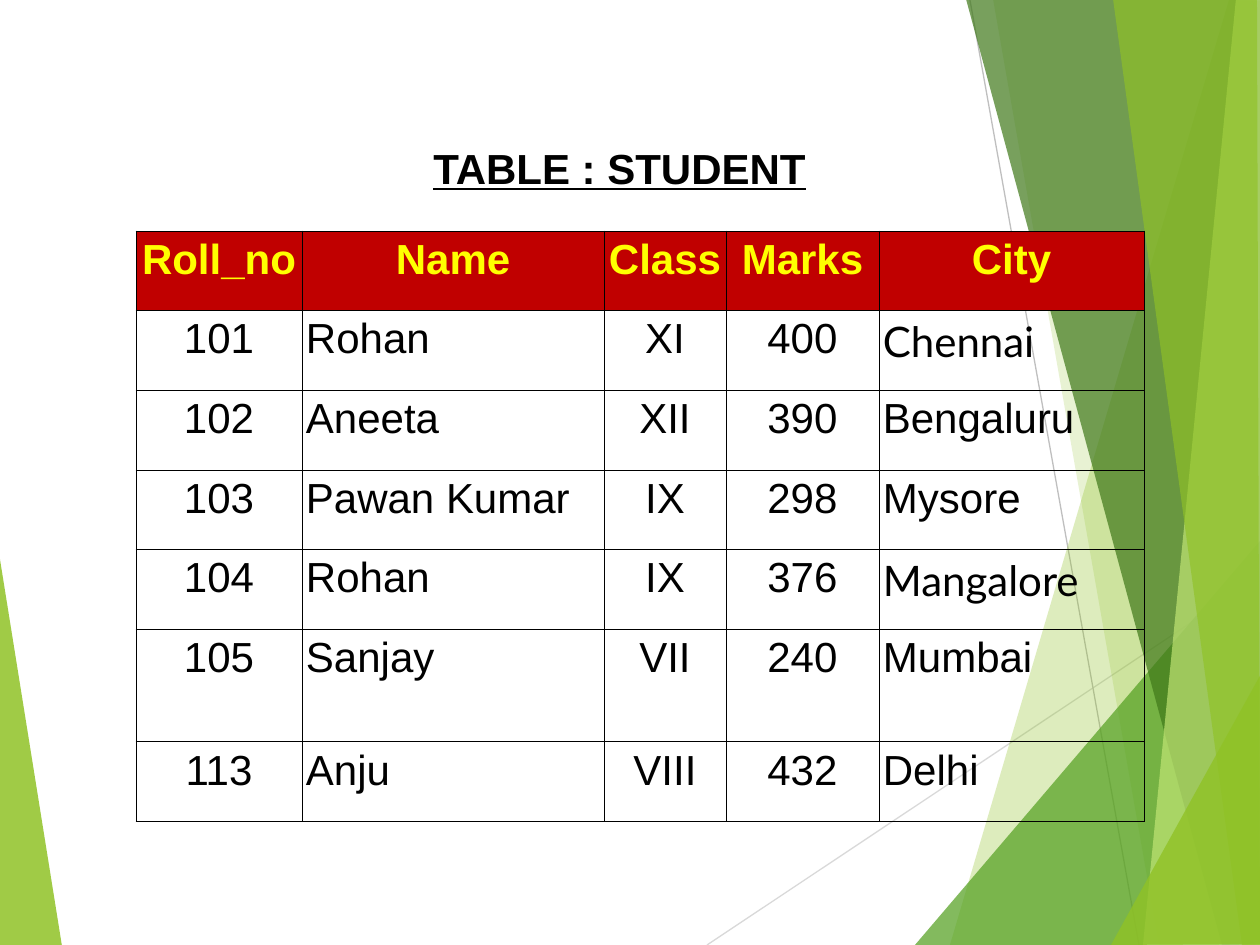
"""Build a slide with a student table over a backdrop of green facets."""
from lxml import etree
from pptx import Presentation
from pptx.dml.color import RGBColor
from pptx.enum.shapes import MSO_CONNECTOR
from pptx.enum.text import MSO_ANCHOR, PP_ALIGN
from pptx.oxml.ns import qn
from pptx.util import Emu, Pt

CENTER, LEFT = PP_ALIGN.CENTER, PP_ALIGN.LEFT
MIDDLE = MSO_ANCHOR.MIDDLE
STRAIGHT = MSO_CONNECTOR.STRAIGHT
EMU_PER_PX = 914400 / 126

THEME = {
    "lime": "90C226", "green": "54A021", "forest": "3F7819", "pale": "C0E474",
    "light_line": "D9D9D9", "gray_line": "BFBFBF",
    "header_fill": "C00000", "header_text": "FFFF00", "ink": "000000",
    "font": "Arial", "city_font": "Lato",
    "text_size": 24, "line_width": 0.75, "border_width": 0.45,
}

TITLE = "TABLE : STUDENT"
TITLE_BOX = (42, 136, 1155, 63)
HEADERS = ["Roll_no", "Name", "Class", "Marks", "City"]
STUDENTS = [
    ("101", "Rohan", "XI", "400", "Chennai"),
    ("102", "Aneeta", "XII", "390", "Bengaluru"),
    ("103", "Pawan Kumar", "IX", "298", "Mysore"),
    ("104", "Rohan", "IX", "376", "Mangalore"),
    ("105", "Sanjay", "VII", "240", "Mumbai"),
    ("113", "Anju", "VIII", "432", "Delhi"),
]
LATO_CITIES = {"Chennai", "Mangalore"}
COLUMN_ALIGNMENTS = [CENTER, LEFT, CENTER, CENTER, LEFT]
TABLE_ORIGIN = (136, 231)
COLUMN_WIDTHS = [166, 302, 122, 153, 265]
ROW_HEIGHTS = [79, 80, 80, 79, 80, 113, 80]
CELL_MARGINS = {"margin_left": 4, "margin_right": 4, "margin_top": 6, "margin_bottom": 6}

LEFT_FACET = ("lime", 85, [(-1, 553), (62, 946), (-1, 945)])
BACKDROP_LINES = [
    ("light_line", (707, 945), (1261, 576)),
    ("gray_line", (970, 0), (1139, 945)),
]
RIGHT_FACETS = [
    ("lime", 30, [(1229, 0), (950, 945), (1262, 946), (1261, 1)]),
    ("lime", 20, [(993, -1), (1159, 945), (1261, 945), (1261, -1)]),
    ("green", 72, [(915, 945), (1260, 541), (1261, 945)]),
    ("forest", 70, [(966, -1), (1222, 945), (1261, 944), (1261, -1)]),
    ("pale", 70, [(1236, -1), (1143, 945), (1261, 945), (1260, -1)]),
    ("lime", 65, [(1113, -1), (1242, 945), (1260, 945), (1257, -1)]),
    ("lime", 80, [(1111, 945), (1261, 674), (1261, 944)]),
]


def px(length):
    return Emu(round(length * EMU_PER_PX))


def color(name):
    return RGBColor.from_string(THEME[name])


def set_attributes(target, values):
    for name, value in values.items():
        setattr(target, name, value)


def add_facet(slide, fill_name, opacity, points):
    builder = slide.shapes.build_freeform(*points[0], scale=EMU_PER_PX)
    builder.add_line_segments(points[1:], close=True)
    shape = builder.convert_to_shape()
    shape.shadow.inherit = False
    shape.line.fill.background()
    shape.fill.solid()
    shape.fill.fore_color.rgb = color(fill_name)
    fill_color = next(shape.element.spPr.iter(qn("a:srgbClr")))
    etree.SubElement(fill_color, qn("a:alpha"), val=str(opacity * 1000))


def add_line(slide, line_name, start, end):
    connector = slide.shapes.add_connector(STRAIGHT, *map(px, start + end))
    connector.line.color.rgb = color(line_name)
    connector.line.width = Pt(THEME["line_width"])
    etree.SubElement(connector.element.spPr, qn("a:effectLst"))


def write(text_frame, text, alignment, color_name, font="font", bold=False, underline=False):
    paragraph = text_frame.paragraphs[0]
    paragraph.alignment = alignment
    run = paragraph.add_run()
    run.text = text
    set_attributes(run.font, {
        "name": THEME[font], "size": Pt(THEME["text_size"]),
        "bold": bold, "underline": underline,
    })
    run.font.color.rgb = color(color_name)


def add_borders(cell):
    properties = cell._tc.get_or_add_tcPr()
    width = str(Pt(THEME["border_width"]))
    for side in ("lnL", "lnR", "lnT", "lnB"):
        border = etree.SubElement(properties, qn(f"a:{side}"), w=width)
        fill = etree.SubElement(border, qn("a:solidFill"))
        etree.SubElement(fill, qn("a:srgbClr"), val=THEME["ink"])


def fill_cell(cell, text, alignment, is_header):
    set_attributes(cell, {name: px(margin) for name, margin in CELL_MARGINS.items()})
    add_borders(cell)
    if is_header:
        cell.fill.solid()
        cell.fill.fore_color.rgb = color("header_fill")
        write(cell.text_frame, text, CENTER, "header_text", bold=True)
    else:
        cell.fill.background()
        font = "city_font" if text in LATO_CITIES else "font"
        write(cell.text_frame, text, alignment, "ink", font)


def add_student_table(slide):
    rows = [HEADERS, *STUDENTS]
    size = (sum(COLUMN_WIDTHS), sum(ROW_HEIGHTS))
    frame = slide.shapes.add_table(len(rows), len(HEADERS), *map(px, TABLE_ORIGIN + size))
    table = frame.table
    set_attributes(table, {"first_row": True, "horz_banding": False})
    for column, width in zip(table.columns, COLUMN_WIDTHS):
        column.width = px(width)
    for row, height in zip(table.rows, ROW_HEIGHTS):
        row.height = px(height)
    for row_index, values in enumerate(rows):
        for column_index, text in enumerate(values):
            cell = table.cell(row_index, column_index)
            fill_cell(cell, text, COLUMN_ALIGNMENTS[column_index], row_index == 0)


def add_title(slide):
    text_frame = slide.shapes.add_textbox(*map(px, TITLE_BOX)).text_frame
    set_attributes(text_frame, {"word_wrap": True, "vertical_anchor": MIDDLE})
    write(text_frame, TITLE, CENTER, "ink", bold=True, underline=True)


def main():
    presentation = Presentation()
    set_attributes(presentation, {"slide_width": px(1260), "slide_height": px(945)})
    slide = presentation.slides.add_slide(presentation.slide_layouts[6])
    add_facet(slide, *LEFT_FACET)
    for line in BACKDROP_LINES:
        add_line(slide, *line)
    for facet in RIGHT_FACETS:
        add_facet(slide, *facet)
    add_title(slide)
    add_student_table(slide)
    presentation.save("out.pptx")


if __name__ == "__main__":
    main()
